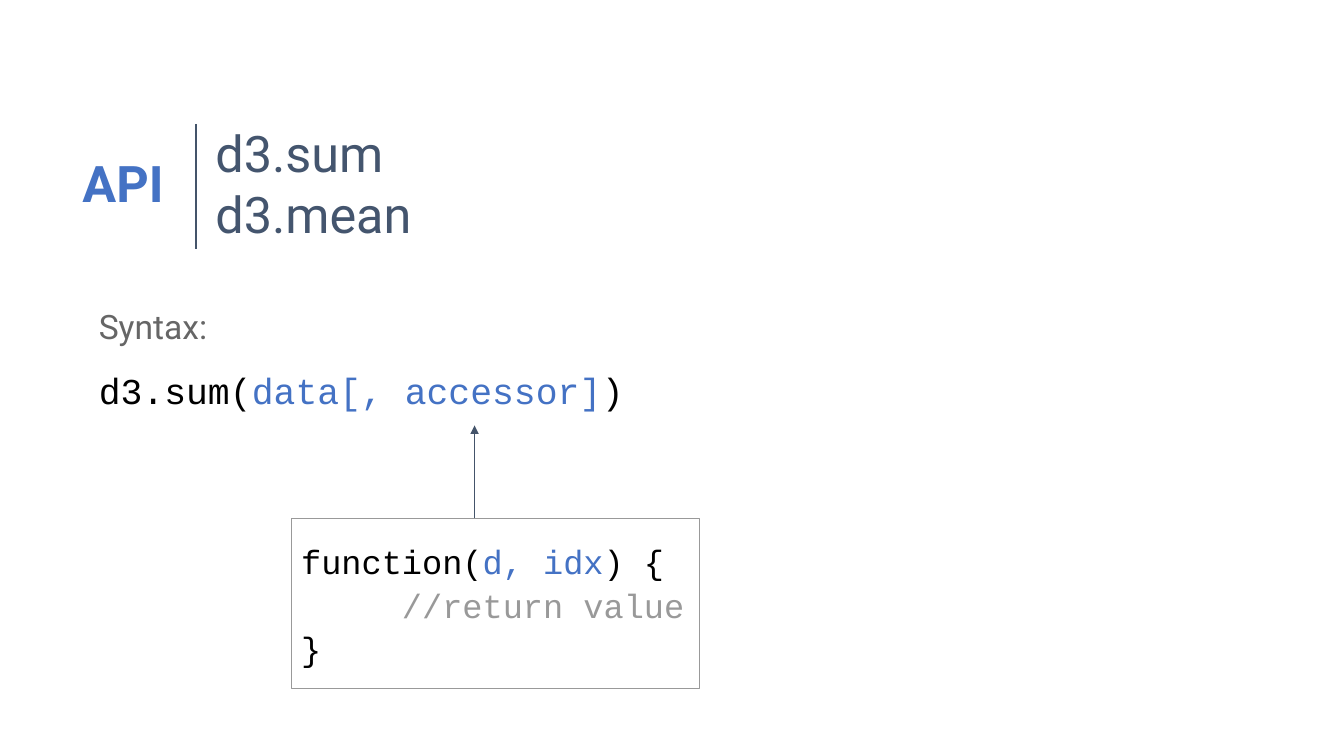
from lxml import etree
from pptx import Presentation
from pptx.dml.color import RGBColor
from pptx.enum.shapes import MSO_CONNECTOR, MSO_SHAPE
from pptx.enum.text import MSO_ANCHOR, MSO_AUTO_SIZE, PP_ALIGN
from pptx.oxml.ns import qn
from pptx.util import Cm, Pt

STRAIGHT = MSO_CONNECTOR.STRAIGHT
RECT = MSO_SHAPE.RECTANGLE
TOP, MIDDLE = MSO_ANCHOR.TOP, MSO_ANCHOR.MIDDLE
NO_FIT = MSO_AUTO_SIZE.NONE
LEFT = PP_ALIGN.LEFT

BLACK = RGBColor(0x00, 0x00, 0x00)
BLUE = RGBColor(0x44, 0x72, 0xC4)
SLATE = RGBColor(0x44, 0x55, 0x6E)
NAVY = RGBColor(0x44, 0x54, 0x6A)
GREY = RGBColor(0x66, 0x66, 0x66)
PALE = RGBColor(0x99, 0x99, 0x99)


class Board:
    """The current slide and its style."""

    sans = "Roboto"
    mono = "Courier New"

    def __init__(self, deck):
        self.slide = deck.slides.add_slide(deck.slide_layouts[5])
        self.shapes = self.slide.shapes

    def fill_text(self, shape, lines, size, font, bold=False, anchor=TOP,
                  pad=0.13, space=1.0):
        """Fill a shape with lines; each line is a list of (text, colour)."""
        frame = shape.text_frame
        frame.word_wrap = True
        frame.auto_size = NO_FIT
        frame.vertical_anchor = anchor
        frame.margin_left = frame.margin_right = Cm(0.25)
        frame.margin_top = frame.margin_bottom = Cm(pad)
        for i, line in enumerate(lines):
            para = frame.add_paragraph() if i else frame.paragraphs[0]
            para.alignment = LEFT
            para.line_spacing = space
            para.space_before = para.space_after = Pt(0)
            for text, tint in line:
                run = para.add_run()
                run.text = text
                run.font.name = font
                run.font.size = Pt(size)
                run.font.bold = bold
                run.font.color.rgb = tint
        return frame

    def title(self, place, lines, size):
        head = self.shapes.title
        head.left, head.top, head.width, head.height = map(Cm, place)
        self.fill_text(head, lines, size, self.sans)

    def text(self, place, line, size, font, bold=False):
        box = self.shapes.add_textbox(*map(Cm, place))
        self.fill_text(box, [line], size, font, bold)

    def code(self, place, lines, size):
        box = self.shapes.add_shape(RECT, *map(Cm, place))
        box.shadow.inherit = False
        box.fill.background()
        box.line.color.rgb = PALE
        box.line.width = Pt(0.75)
        return self.fill_text(box, lines, size, self.mono, anchor=MIDDLE,
                              pad=0.25, space=1.08)

    def indent(self, para, left):
        props = para._p.get_or_add_pPr()
        props.set("marL", str(Cm(left)))
        props.set("indent", "0")

    def line(self, x, start, end, width, arrow=False):
        """Draw an upright line, with an arrowhead at its end if asked."""
        rule = self.shapes.add_connector(STRAIGHT, Cm(x), Cm(start),
                                         Cm(x), Cm(end))
        rule.line.color.rgb = NAVY
        rule.line.width = Pt(width)
        props = rule._element.spPr
        if arrow:
            tip = etree.SubElement(props.find(qn("a:ln")), qn("a:tailEnd"))
            tip.set("type", "triangle")
        etree.SubElement(props, qn("a:effectLst"))


def main():
    deck = Presentation()
    deck.slide_width, deck.slide_height = Cm(33.87), Cm(19.05)
    board = Board(deck)

    # Heading
    board.title((5.18, 2.95, 11.46, 3.68),
                [[("d3.sum", SLATE)], [("d3.mean", SLATE)]], 36)
    board.line(4.93, 3.12, 6.27, 1.5)
    board.text((1.83, 3.71, 2.82, 1.8), [("API", BLUE)], 36, board.sans, True)

    # Syntax
    board.text((2.24, 7.59, 14.88, 1.63), [("Syntax:", GREY)], 24, board.sans)
    board.text((2.24, 9.14, 17.35, 2.16),
               [("d3.sum(", BLACK), ("data[, accessor]", BLUE), (")", BLACK)],
               26, board.mono)

    # Accessor function
    frame = board.code((7.34, 13.06, 10.29, 4.29), [
        [("function(", BLACK), ("d, idx", BLUE), (") {", BLACK)],
        [("//return value", PALE)],
        [("}", BLACK)],
    ], 24)
    board.indent(frame.paragraphs[1], 2.54)
    board.line(11.96, 13.06, 10.72, 0.75, arrow=True)

    deck.save("out.pptx")


if __name__ == "__main__":
    main()
